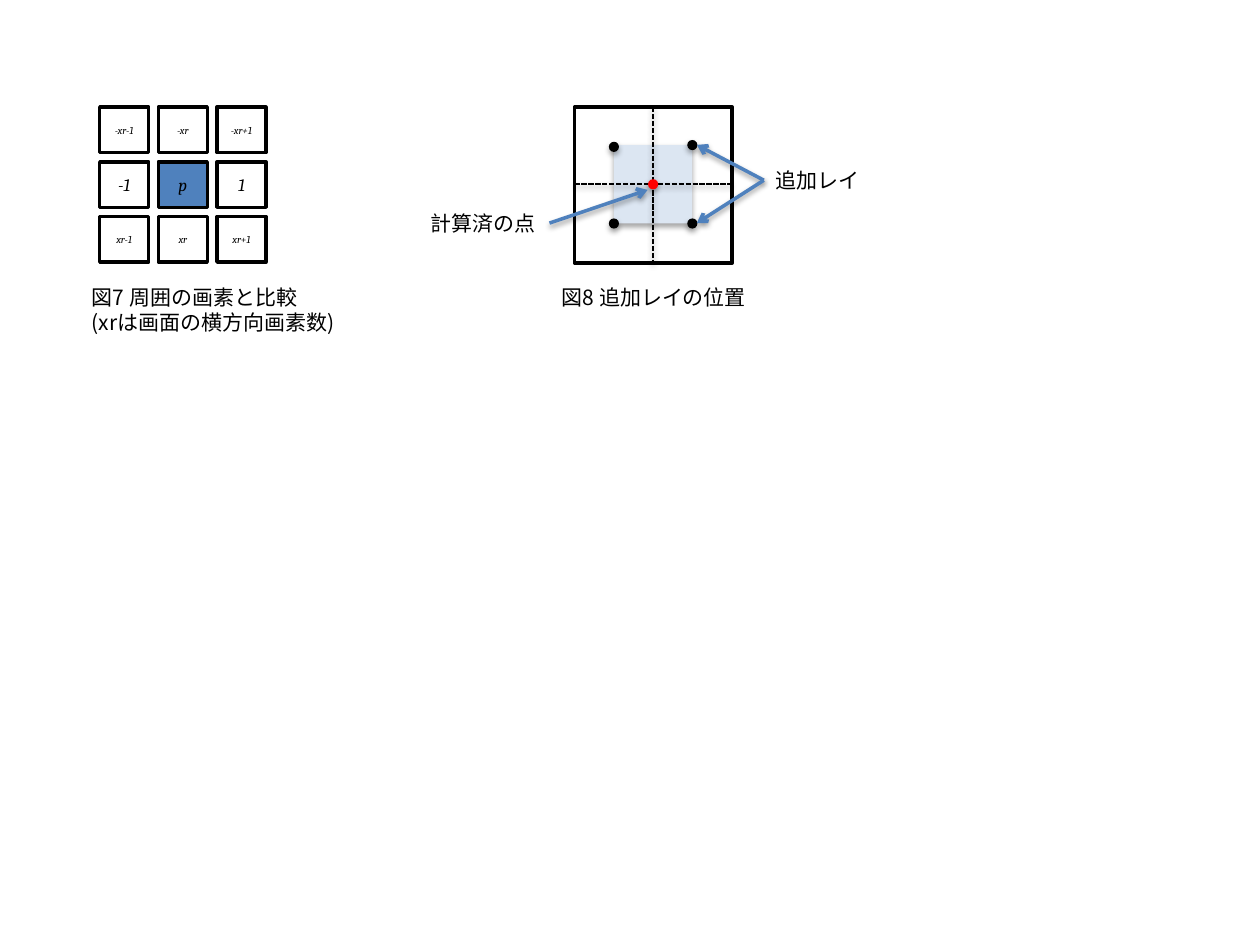
from lxml.etree import SubElement
from pptx import Presentation
from pptx.dml.color import RGBColor
from pptx.enum.dml import MSO_LINE
from pptx.enum.shapes import MSO_CONNECTOR, MSO_SHAPE
from pptx.enum.text import MSO_ANCHOR, PP_ALIGN
from pptx.oxml.ns import qn
from pptx.util import Pt

COLORS = {"black": "000000", "white": "FFFFFF", "blue": "4F81BD",
          "pale": "DCE6F2", "red": "FF0000"}
JAPANESE = "Noto Sans CJK JP"


def color(name):
    return RGBColor.from_string(COLORS[name])


def write_text(frame, text, size=12, font=JAPANESE, italic=False,
               align=PP_ALIGN.LEFT, wrap=True):
    frame.word_wrap = wrap
    for index, line in enumerate(text.split("\n")):
        para = frame.paragraphs[0] if index == 0 else frame.add_paragraph()
        para.alignment = align
        span = para.add_run()
        span.text = line
        span.font.size = Pt(size)
        span.font.name = font
        span.font.italic = italic
        span.font.color.rgb = color("black")
        SubElement(span.font._element, qn("a:ea"), typeface=font)


class Figure:
    def __init__(self, page, outline=2):
        self.page = page
        self.outline = outline

    def shape(self, kind, left, top, width, height, fill=None, line=None, shadow=False):
        shape = self.page.shapes.add_shape(kind, Pt(left), Pt(top), Pt(width), Pt(height))
        if not shadow:
            shape.shadow.inherit = False
        if fill:
            shape.fill.solid()
            shape.fill.fore_color.rgb = color(fill)
        else:
            shape.fill.background()
        if line:
            shape.line.color.rgb = color(line)
            shape.line.width = Pt(self.outline)
        else:
            shape.line.fill.background()
        return shape

    def cell(self, left, top, text, size, fill):
        box = self.shape(MSO_SHAPE.RECTANGLE, left, top, 28, 26, fill, "black")
        box.text_frame.vertical_anchor = MSO_ANCHOR.MIDDLE
        write_text(box.text_frame, text, size=size, font="Cambria", italic=True,
                   align=PP_ALIGN.CENTER, wrap=False)

    def dot(self, x, y, fill="black", size=5.8):
        self.shape(MSO_SHAPE.OVAL, x - size / 2, y - size / 2, size, size, fill, shadow=True)

    def label(self, left, top, width, height, text):
        box = self.page.shapes.add_textbox(Pt(left), Pt(top), Pt(width), Pt(height))
        write_text(box.text_frame, text)

    def line(self, start, end, name, width):
        line = self.page.shapes.add_connector(
            MSO_CONNECTOR.STRAIGHT, *(Pt(value) for value in (*start, *end)))
        line.line.color.rgb = color(name)
        line.line.width = Pt(width)
        return line

    def dashed(self, start, end):
        self.line(start, end, "black", 1).line.dash_style = MSO_LINE.SQUARE_DOT

    def arrow(self, start, end):
        arrow = self.line(start, end, "blue", self.outline)
        SubElement(arrow.line._get_or_add_ln(), qn("a:tailEnd"), type="arrow")


def draw_neighbours(figure):
    rows = [("-xr-1", "-xr", "-xr+1"), ("-1", "p", "1"), ("xr-1", "xr", "xr+1")]
    for row, texts in enumerate(rows):
        for column, text in enumerate(texts):
            figure.cell(57 + 33.5 * column, 61.2 + 31.3 * row, text,
                        size=10 if row == 1 else 6,
                        fill="blue" if text == "p" else "white")
    figure.label(45.4, 159.1, 158.4, 36, "図7 周囲の画素と比較\n(xrは画面の横方向画素数)")


def draw_rays(figure):
    left, top, width, height = 328.3, 61.2, 90, 89.2
    x, y, half = 373.2, 105.3, 22.4
    figure.shape(MSO_SHAPE.RECTANGLE, x - half, y - half, 2 * half, 2 * half,
                 "pale", shadow=True)
    figure.shape(MSO_SHAPE.RECTANGLE, left, top, width, height, line="black")
    figure.dashed((x, top), (x, top + height))
    figure.dashed((left, y), (left + width, y))
    figure.dot(x, y, "red")
    for corner in [(x + half, y - half), (x + half, y + half),
                   (x - half, y - half + 1), (x - half, y + half)]:
        figure.dot(*corner)
    figure.label(313.9, 159.1, 123.1, 21.6, "図8 追加レイの位置")
    figure.label(436.3, 92.2, 63.4, 21.6, "追加レイ")
    figure.label(238.9, 116.8, 75, 21.6, "計算済の点")
    for target in (82.8, 127.5):
        figure.arrow((436.5, 103), (398.2, target))
    figure.arrow((314, 127.5), (370.1, 108.5))


def main():
    deck = Presentation()
    deck.slide_width, deck.slide_height = Pt(720), Pt(540)
    figure = Figure(deck.slides.add_slide(deck.slide_layouts[6]))
    draw_neighbours(figure)
    draw_rays(figure)
    deck.save("out.pptx")


if __name__ == "__main__":
    main()
